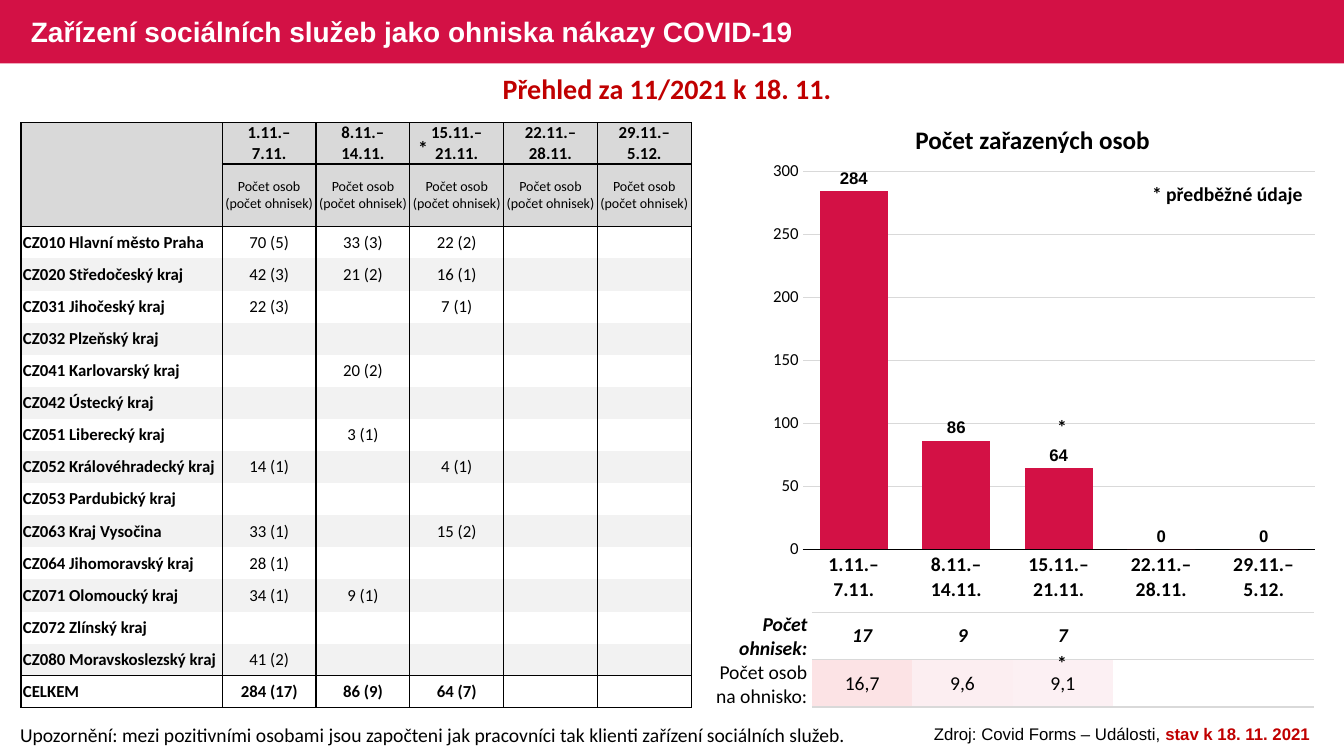
from dataclasses import dataclass

import pptx
import pptx.chart.data
import pptx.dml.color
import pptx.enum.chart
import pptx.enum.shapes
import pptx.enum.text
import pptx.oxml
import pptx.oxml.ns
import pptx.util

Pt = pptx.util.Pt
ALIGN = pptx.enum.text.PP_ALIGN
MIDDLE = pptx.enum.text.MSO_ANCHOR.MIDDLE


@dataclass(frozen=True)
class Theme:
    heading: str = "Arial"
    body: str = "Calibri"
    brand: str = "D31145"
    accent: str = "C00000"
    black: str = "000000"
    white: str = "FFFFFF"
    header: str = "D9D9D9"
    band: str = "F2F2F2"
    title: int = 20
    subtitle: int = 18
    label: int = 14
    cell: int = 12
    small: int = 10


THEME = Theme()
NO_TABLE_STYLE = "{2D5ABB26-0587-4C30-8999-92F81FD0307C}"

WEEKS = ["1.11.–\n7.11.", "8.11.–\n14.11.", "15.11.–\n21.11.",
         "22.11.–\n28.11.", "29.11.–\n5.12."]
PEOPLE = [284, 86, 64, 0, 0]
REGIONS = [
    ("CZ010 Hlavní město Praha", "70 (5)", "33 (3)", "22 (2)"),
    ("CZ020 Středočeský kraj", "42 (3)", "21 (2)", "16 (1)"),
    ("CZ031 Jihočeský kraj", "22 (3)", "", "7 (1)"),
    ("CZ032 Plzeňský kraj", "", "", ""),
    ("CZ041 Karlovarský kraj", "", "20 (2)", ""),
    ("CZ042 Ústecký kraj", "", "", ""),
    ("CZ051 Liberecký kraj", "", "3 (1)", ""),
    ("CZ052 Královéhradecký kraj", "14 (1)", "", "4 (1)"),
    ("CZ053 Pardubický kraj", "", "", ""),
    ("CZ063 Kraj Vysočina", "33 (1)", "", "15 (2)"),
    ("CZ064 Jihomoravský kraj", "28 (1)", "", ""),
    ("CZ071 Olomoucký kraj", "34 (1)", "9 (1)", ""),
    ("CZ072 Zlínský kraj", "", "", ""),
    ("CZ080 Moravskoslezský kraj", "41 (2)", "", ""),
    ("CELKEM", "284 (17)", "86 (9)", "64 (7)"),
]


def color(value):
    return pptx.dml.color.RGBColor.from_string(value)


def style_font(font, size, name=THEME.body, fill=THEME.black, bold=False, italic=False):
    font.name, font.size, font.bold, font.italic = name, Pt(size), bold, italic
    font.color.rgb = color(fill)


def add_text(slide, box, text, size, align=ALIGN.LEFT, wrap=True, anchor=None, **style):
    shape = slide.shapes.add_textbox(*map(Pt, box))
    frame = shape.text_frame
    frame.word_wrap = wrap
    if anchor is None:
        frame.auto_size = pptx.enum.text.MSO_AUTO_SIZE.SHAPE_TO_FIT_TEXT
    else:
        frame.vertical_anchor = anchor
    paragraph = frame.paragraphs[0]
    paragraph.text = text
    paragraph.alignment = align
    style_font(paragraph.font, size, **style)
    return paragraph


def add_plain_table(slide, left, top, widths, heights):
    frame = slide.shapes.add_table(len(heights), len(widths), Pt(left), Pt(top),
                                   Pt(sum(widths)), Pt(sum(heights)))
    table = frame.table
    table.first_row = table.horz_banding = False
    table._tbl.tblPr.find(pptx.oxml.ns.qn("a:tableStyleId")).text = NO_TABLE_STYLE
    for column, width in zip(table.columns, widths):
        column.width = Pt(width)
    for row, height in zip(table.rows, heights):
        row.height = Pt(height)
    return table


def fill_cell(cell, text, size, fill=None, align=ALIGN.CENTER, margins=(0.7, 0.7), **style):
    cell.margin_left, cell.margin_right = map(Pt, margins)
    cell.margin_top = cell.margin_bottom = Pt(0.3)
    cell.vertical_anchor = MIDDLE
    if fill:
        cell.fill.solid()
        cell.fill.fore_color.rgb = color(fill)
    else:
        cell.fill.background()
    paragraph = cell.text_frame.paragraphs[0]
    paragraph.text = text
    paragraph.alignment = align
    style_font(paragraph.font, size, **style)


def set_borders(cell, line_color, **widths):
    """Draw the sides L, R, T, B given as widths in points."""
    properties = cell._tc.get_or_add_tcPr()
    sides = [side for side in "LRTB" if side in widths]
    for index, side in enumerate(sides):
        properties.insert(index, pptx.oxml.parse_xml(
            f'<a:ln{side} {pptx.oxml.ns.nsdecls("a")} w="{Pt(widths[side])}">'
            f'<a:solidFill><a:srgbClr val="{line_color}"/></a:solidFill></a:ln{side}>'))


def add_region_table(slide):
    table = add_plain_table(slide, 15, 87.6, [143.8] + [67] * 5, [29.6, 44.5] + [22.95] * 15)
    rows = [[""] + WEEKS, [""] + ["Počet osob (počet ohnisek)"] * 5]
    rows += [list(region) + ["", ""] for region in REGIONS]
    last = len(rows) - 1
    for r, row in enumerate(rows):
        if r < 2:
            fill = THEME.header
        else:
            fill = THEME.band if r % 2 and r < last else None
        for c, text in enumerate(row):
            cell = table.cell(r, c)
            is_name = c == 0 and r >= 2
            fill_cell(cell, text, THEME.small if r == 1 else THEME.cell, fill,
                      ALIGN.LEFT if is_name else ALIGN.CENTER,
                      (1.4, 1.4) if is_name else (0.7, 0.7),
                      bold=is_name or r in (0, last))
            borders = {"L": 1, "R": 1}
            if r in (0, last) or (r == 1 and c):
                borders["T"] = 1
            if r >= last - 1 or (r == 0 and c):
                borders["B"] = 1
            if r == 1:
                borders["B"] = 0.5
            set_borders(cell, THEME.black, **borders)


def add_outbreak_tables(slide):
    top, heights = 437.4, [33.8, 33.8]
    rows = [("Počet ohnisek:", ["17", "9", "7", "", ""], [None] * 5),
            ("Počet osob na ohnisko:", ["16,7", "9,6", "9,1", "", ""],
             ["FCE3E5", "FCEEF1", "FCF0F3", None, None])]
    values = add_plain_table(slide, 580, top, [71.7] * 5, heights)
    labels = add_plain_table(slide, 506.9, top, [72.7] + [51.2] * 7, heights)
    for r, (label, texts, fills) in enumerate(rows):
        strong = r == 0
        for c, text in enumerate([label] + [""] * 7):
            fill_cell(labels.cell(r, c), text, THEME.label, None, ALIGN.RIGHT, (0.7, 2.9),
                      bold=strong, italic=strong)
        for c, (text, fill) in enumerate(zip(texts, fills)):
            cell = values.cell(r, c)
            fill_cell(cell, text, THEME.label, fill, bold=strong, italic=strong)
            set_borders(cell, THEME.header, T=1, B=1)


def add_people_chart(slide):
    width, height = 403.9, 327.6
    data = pptx.chart.data.CategoryChartData()
    data.categories = WEEKS
    data.add_series("Series 1", PEOPLE)
    chart = slide.shapes.add_chart(
        pptx.enum.chart.XL_CHART_TYPE.COLUMN_CLUSTERED,
        Pt(544.3), Pt(108.7), Pt(width), Pt(height), data).chart
    chart.has_legend = chart.has_title = False
    style_font(chart.font, THEME.label, THEME.heading, bold=True)

    plot = chart.plots[0]
    plot.gap_width = 50
    plot.vary_by_categories = False
    series = plot.series[0]
    series.format.fill.solid()
    series.format.fill.fore_color.rgb = color(THEME.brand)
    labels = series.data_labels
    labels.show_value = True
    labels.position = pptx.enum.chart.XL_LABEL_POSITION.OUTSIDE_END
    style_font(labels.font, THEME.cell, THEME.heading, bold=True)

    weeks, people = chart.category_axis, chart.value_axis
    for axis in (weeks, people):
        axis.major_tick_mark = axis.minor_tick_mark = pptx.enum.chart.XL_TICK_MARK.NONE
    style_font(weeks.tick_labels.font, THEME.label, bold=True)
    weeks.format.line.color.rgb = color(THEME.black)
    weeks.format.line.width = Pt(0.75)
    style_font(people.tick_labels.font, THEME.cell)
    people.format.line.fill.background()
    people.minimum_scale, people.maximum_scale, people.major_unit = 0, 300, 50
    people.major_gridlines.format.line.color.rgb = color(THEME.header)
    people.major_gridlines.format.line.width = Pt(0.75)

    # Fixed inner plot area, as shares of the chart size
    area = chart._chartSpace.chart.plotArea
    for old in area.findall(pptx.oxml.ns.qn("c:layout")):
        area.remove(old)
    shares = {"x": 29 / width, "y": 13.6 / height, "w": 366 / width, "h": 270 / height}
    places = "".join(f'<c:{key} val="{share:.4f}"/>' for key, share in shares.items())
    area.insert(0, pptx.oxml.parse_xml(
        f'<c:layout {pptx.oxml.ns.nsdecls("c")}><c:manualLayout>'
        '<c:layoutTarget val="inner"/><c:xMode val="edge"/><c:yMode val="edge"/>'
        f'{places}</c:manualLayout></c:layout>'))


def main():
    presentation = pptx.Presentation()
    presentation.slide_width, presentation.slide_height = Pt(960), Pt(540)
    slide = presentation.slides.add_slide(presentation.slide_layouts[6])

    # Banner and headings
    banner = slide.shapes.add_shape(pptx.enum.shapes.MSO_SHAPE.RECTANGLE,
                                    0, 0, Pt(960), Pt(45.4))
    banner.shadow.inherit = False
    banner.fill.solid()
    banner.fill.fore_color.rgb = color(THEME.brand)
    banner.line.fill.background()
    title = add_text(slide, (15, 1.4, 585, 45.4),
                     "Zařízení sociálních služeb jako ohniska nákazy COVID-19", THEME.title,
                     anchor=MIDDLE, name=THEME.heading, fill=THEME.white, bold=True)
    title.line_spacing = 0.9
    add_text(slide, (15, 47.5, 923, 31.5), "Přehled za 11/2021 k 18. 11.", THEME.title,
             ALIGN.CENTER, fill=THEME.accent, bold=True)

    # Tables and chart
    add_region_table(slide)
    add_people_chart(slide)
    add_text(slide, (544.3, 85.4, 386.6, 29), "Počet zařazených osob", THEME.subtitle,
             ALIGN.CENTER, bold=True)
    add_outbreak_tables(slide)

    # Preliminary data marks
    add_text(slide, (815.8, 126.7, 122.4, 24.2), "* předběžné údaje", THEME.label,
             wrap=False, bold=True)
    for left, top in ((748, 293), (748, 461.5), (291.6, 93.6)):
        add_text(slide, (left, top, 21.6, 24.2), "*", THEME.label, wrap=False, bold=True)

    # Footer
    add_text(slide, (7.2, 512.6, 613.4, 24.2),
             "Upozornění: mezi pozitivními osobami jsou započteni jak pracovníci "
             "tak klienti zařízení sociálních služeb.", THEME.label)
    source = add_text(slide, (650.2, 513.4, 302.4, 21.8), "Zdroj: Covid Forms – Události, ",
                      THEME.cell, ALIGN.CENTER, name=THEME.heading)
    status = source.add_run()
    status.text = "stav k 18. 11. 2021"
    status.font.bold = True
    status.font.color.rgb = color(THEME.accent)

    presentation.save("out.pptx")


if __name__ == "__main__":
    main()
